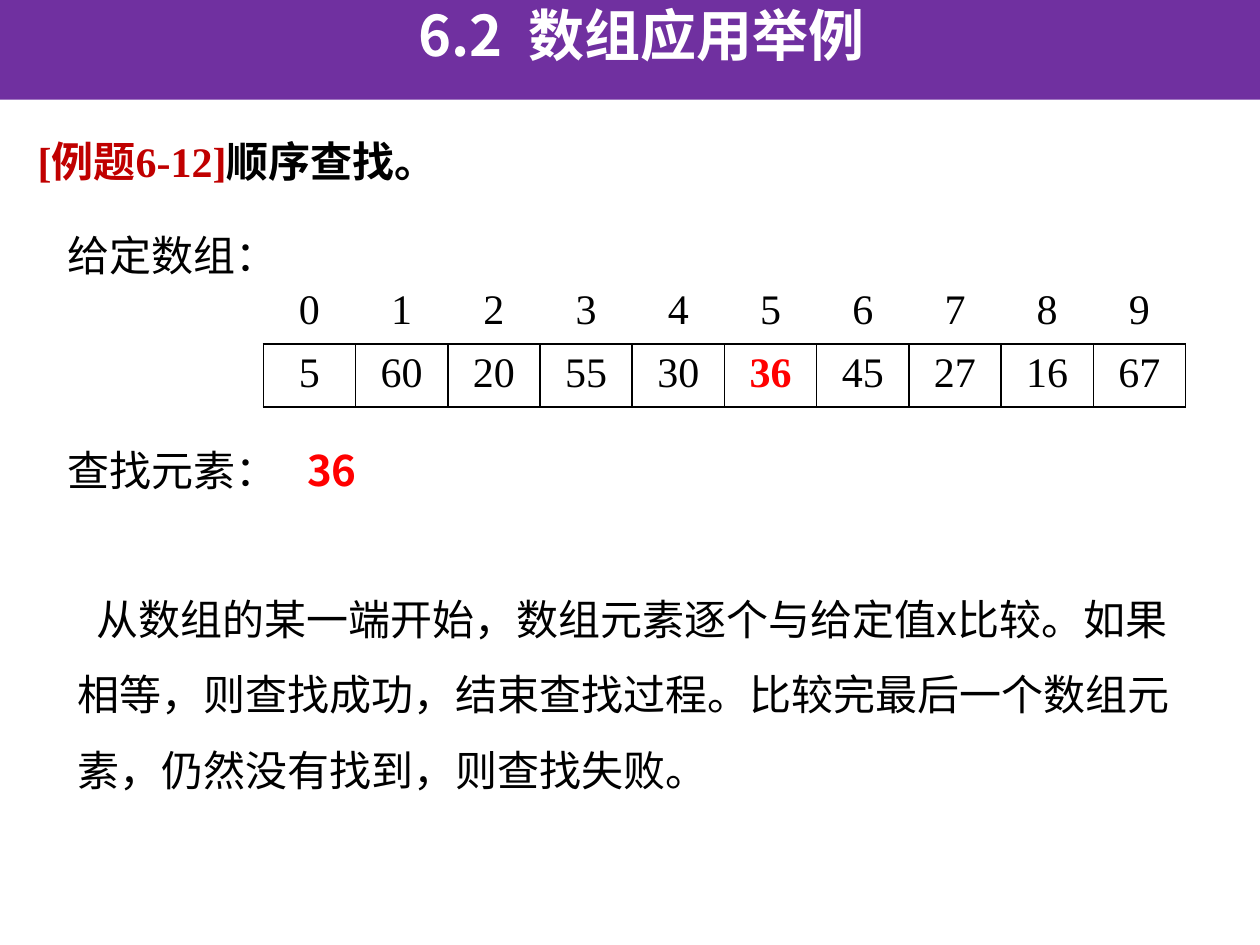
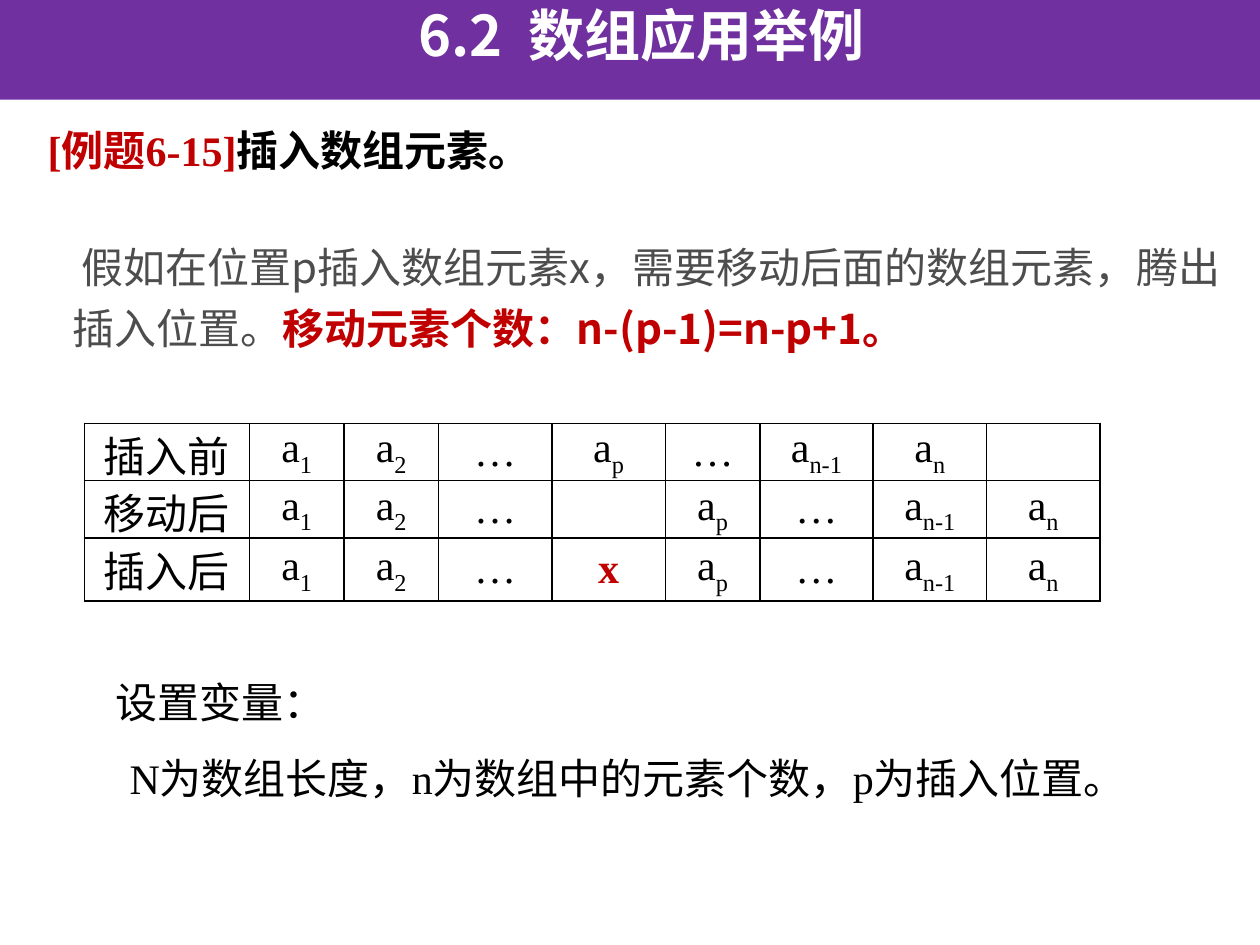
import pptx
import pptx.util
import pptx.dml.color
import pptx.enum.shapes
import pptx.enum.text
import pptx.oxml
import pptx.oxml.ns
from lxml import etree

Inches = pptx.util.Inches
Pt = pptx.util.Pt
CENTER = pptx.enum.text.PP_ALIGN.CENTER
TOP = pptx.enum.text.MSO_ANCHOR.TOP
MIDDLE = pptx.enum.text.MSO_ANCHOR.MIDDLE

COLORS = {"band": "7030A0", "white": "FFFFFF", "ink": "000000",
          "accent": "C00000", "found": "FF0000", "muted": "4D4D4D"}
SANS = "Noto Sans CJK SC"
SERIF = "Times New Roman"
NO_STYLE = "{2D5ABB26-0587-4C30-8999-92F81FD0307C}"
CHAPTER = "6.2  数组应用举例"


def add_child(parent, tag, **attributes):
    child = etree.SubElement(parent, pptx.oxml.ns.qn(tag))
    for key, value in attributes.items():
        child.set(key, str(value))
    return child


def add_run(paragraph, text, font=SANS, color="ink", bold=False, size=24, subscript=False):
    run = paragraph.add_run()
    run.text = text
    run.font.name = font
    run.font.size = Pt(size)
    run.font.bold = bold
    run.font.color.rgb = pptx.dml.color.RGBColor.from_string(COLORS[color])
    properties = run.font._element
    if subscript:
        properties.set("baseline", "-25000")
    if font == SANS:
        add_child(properties, "a:ea", typeface=font)


def set_indent(paragraph, left, first=0):
    properties = paragraph._p.get_or_add_pPr()
    properties.set("marL", str(Inches(left)))
    properties.set("indent", str(Inches(first)))


def add_text(slide, box):
    frame = slide.shapes.add_textbox(*map(Inches, box)).text_frame
    frame.word_wrap = True
    return frame


def add_band(slide, box):
    band = slide.shapes.add_shape(pptx.enum.shapes.MSO_SHAPE.RECTANGLE, *map(Inches, box))
    band.shadow.inherit = False
    band.fill.solid()
    band.fill.fore_color.rgb = pptx.dml.color.RGBColor.from_string(COLORS["band"])
    band.line.fill.background()
    frame = band.text_frame
    frame.vertical_anchor = TOP
    frame.margin_top = 0
    title = frame.paragraphs[0]
    title.alignment = CENTER
    set_indent(title, 0.2)
    add_run(title, CHAPTER, color="white", bold=True, size=32)


def add_heading(slide, box, label, topic):
    heading = add_text(slide, box).paragraphs[0]
    set_indent(heading, 0.38, -0.38)
    heading.space_before = Pt(4.8)
    add_run(heading, label, SERIF, "accent", True)
    add_run(heading, topic, SERIF, bold=True)


def add_grid(slide, box, widths, heights):
    frame = slide.shapes.add_table(len(heights), len(widths), *map(Inches, box))
    grid = frame.table
    grid.first_row = grid.horz_banding = False
    grid._tbl.tblPr.find(pptx.oxml.ns.qn("a:tableStyleId")).text = NO_STYLE
    for column, width in zip(grid.columns, widths):
        column.width = Inches(width)
    for row, height in zip(grid.rows, heights):
        row.height = Inches(height)
    return grid


def outline_cell(cell):
    properties = cell._tc.get_or_add_tcPr()
    for side in ("L", "R", "T", "B"):
        edge = add_child(properties, f"a:ln{side}", w=Pt(1))
        add_child(add_child(edge, "a:solidFill"), "a:srgbClr", val=COLORS["ink"])
    cell.fill.background()


def add_array(slide, box, values, target):
    count = len(values)
    grid = add_grid(slide, box, [box[2] / count] * count, [box[3] / 2] * 2)
    for index, value in enumerate(values):
        for row, number in enumerate((index, value)):
            cell = grid.cell(row, index)
            paragraph = cell.text_frame.paragraphs[0]
            paragraph.alignment = CENTER
            hit = row == 1 and value == target
            add_run(paragraph, str(number), SERIF, "found" if hit else "ink", hit)
            if row == 1:
                outline_cell(cell)
            else:
                cell.fill.background()


def add_stages(slide, box, stages):
    widths = [1.31, 0.75, 0.75, 0.9, 0.9, 0.75, 0.9, 0.9, 0.9]
    grid = add_grid(slide, box, widths, [0.44, 0.44, 0.5])
    for row, stage in enumerate(stages):
        for column, entry in enumerate(stage):
            cell = grid.cell(row, column)
            cell.margin_left = cell.margin_right = Inches(0.07)
            cell.margin_top = cell.margin_bottom = 0
            cell.vertical_anchor = MIDDLE
            outline_cell(cell)
            if not entry:
                continue
            paragraph = cell.text_frame.paragraphs[0]
            paragraph.alignment = CENTER
            base, _, index = entry.partition("_")
            inserted = entry == "x"
            add_run(paragraph, base, SERIF, "accent" if inserted else "ink", inserted)
            if index:
                add_run(paragraph, index, SERIF, subscript=True)


def add_target(slide, box, label, target):
    paragraph = add_text(slide, box).paragraphs[0]
    tabs = add_child(paragraph._p.get_or_add_pPr(), "a:tabLst")
    add_child(tabs, "a:tab", pos=Inches(1.9), algn="l")
    add_run(paragraph, label + "\t")
    add_run(paragraph, str(target), color="found", bold=True)


def add_method(slide, box, text):
    method = add_text(slide, box).paragraphs[0]
    set_indent(method, 0.08, 0.15)
    method.line_spacing = 1.5
    add_run(method, text)


def add_move_rule(slide, box, text, count):
    rule = add_text(slide, box).paragraphs[0]
    set_indent(rule, 0.2, 0.07)
    rule.line_spacing = Pt(35)
    add_run(rule, text, color="muted")
    add_run(rule, count, color="accent", bold=True)


def add_variables(slide, box, lines):
    frame = add_text(slide, box)
    for number, (text, left) in enumerate(lines):
        paragraph = frame.add_paragraph() if number else frame.paragraphs[0]
        set_indent(paragraph, left)
        paragraph.line_spacing = 1.5
        add_run(paragraph, text, SERIF)


def start_slide(deck):
    slide = deck.slides.add_slide(deck.slide_layouts[6])
    add_band(slide, (-0.03, 0, 10.04, 0.79))
    return slide


def build_search(deck):
    slide = start_slide(deck)
    target = 36
    add_heading(slide, (0.2, 1.03, 5.35, 0.5), "[例题6-12]", "顺序查找。")
    add_method(slide, (0.44, 4.46, 8.98, 1.92),
               "从数组的某一端开始，数组元素逐个与给定值x比较。如果相等，则查找成功，"
               "结束查找过程。比较完最后一个数组元素，仍然没有找到，则查找失败。")
    add_array(slide, (2.09, 2.23, 7.32, 1), [5, 60, 20, 55, 30, 36, 45, 27, 16, 67], target)
    add_run(add_text(slide, (0.44, 1.77, 1.81, 0.5)).paragraphs[0], "给定数组：")
    add_target(slide, (0.44, 3.48, 3.13, 0.5), "查找元素：", target)


def build_insertion(deck):
    slide = start_slide(deck)
    add_heading(slide, (0.28, 0.94, 6.46, 0.5), "[例题6-15]", "插入数组元素。")
    add_move_rule(slide, (0.28, 1.78, 9.53, 1.02),
                  "假如在位置p插入数组元素x，需要移动后面的数组元素，腾出插入位置。",
                  "移动元素个数：n-(p-1)=n-p+1。")
    head = ["a_1", "a_2", "…"]
    tail = ["a_p", "…", "a_n-1", "a_n"]
    add_stages(slide, (0.67, 3.36, 8.08, 1.38), [
        ["插入前", *head, *tail, ""],
        ["移动后", *head, "", *tail],
        ["插入后", *head, "x", *tail]])
    add_variables(slide, (0.43, 5.12, 9.12, 1.5), [
        ("设置变量：", 0.39),
        ("N为数组长度，n为数组中的元素个数，p为插入位置。", 0.5)])


def main():
    deck = pptx.Presentation()
    deck.slide_width, deck.slide_height = Inches(10), Inches(7.5)
    build_search(deck)
    build_insertion(deck)
    deck.save("out.pptx")


if __name__ == "__main__":
    main()
